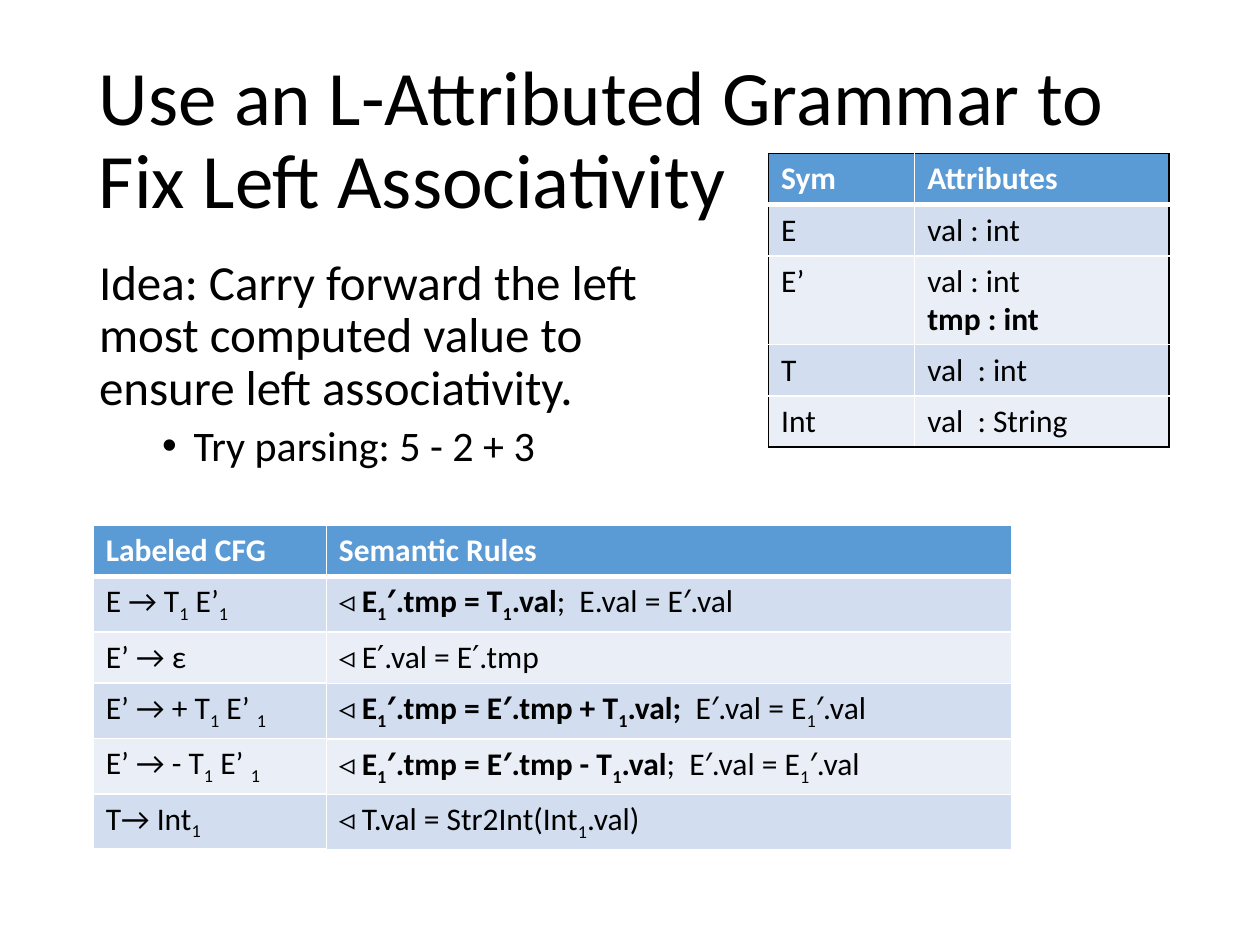
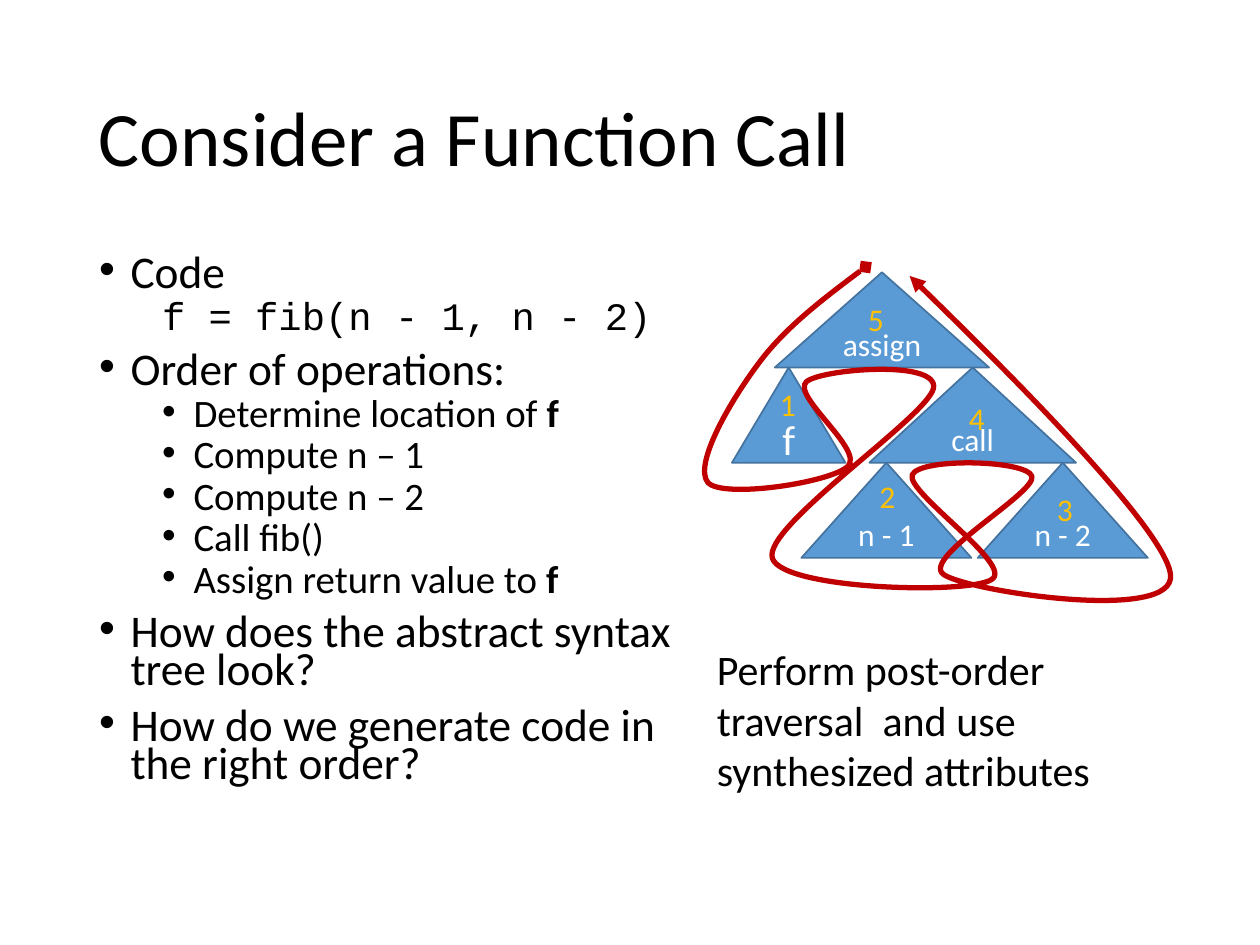
from lxml.etree import SubElement
from pptx import Presentation
from pptx.dml.color import RGBColor
from pptx.enum.shapes import MSO_SHAPE as Preset
from pptx.enum.text import MSO_ANCHOR as Anchor, MSO_AUTO_SIZE as AutoSize, PP_ALIGN as Align
from pptx.oxml.ns import qn
from pptx.util import Pt

BLACK = RGBColor(0x00, 0x00, 0x00)
WHITE = RGBColor(0xFF, 0xFF, 0xFF)
BLUE = RGBColor(0x5B, 0x9B, 0xD5)
BLUE_EDGE = RGBColor(0x43, 0x73, 0x9E)
BAND_DARK = RGBColor(0xD2, 0xDE, 0xEF)
BAND_LIGHT = RGBColor(0xEA, 0xEF, 0xF7)
GOLD = RGBColor(0xFF, 0xC0, 0x00)
RED = RGBColor(0xC0, 0x00, 0x00)

SANS, MONO = "Calibri", "Courier New"
ROW_HEIGHT = 29.2
BODY_LEFT, BODY_TOP, BODY_HEIGHT = 49.5, 143.75, 342.6
TREE_TOP, TREE_STEP = 155.6, 54.4

IDEA = {"size": 28, "space_before": 10, "line_spacing": 0.9}
TRY = {"size": 24, "space_before": 5, "line_spacing": 0.9, "level": 1,
       "margin": 54, "bullet": True}
TOPIC = {"size": 25.9, "space_before": 10, "line_spacing": 0.7,
         "margin": 18, "bullet": True}
STEP = {"size": 22.2, "space_before": 5, "line_spacing": 0.7, "level": 1,
        "margin": 54, "bullet": True}
CODE = {**STEP, "margin": 36, "bullet": False, "font": MONO}

SYMBOLS = [
    ("Sym", "Attributes"),
    ("E", "val : int"),
    ("E’", "val : int\n*tmp : int*"),
    ("T", "val  : int"),
    ("Int", "val  : String"),
]
GRAMMAR = ["Labeled CFG", "E → T_1 E’_1", "E’ → ε", "E’ → + T_1 E’ _1",
           "E’ → - T_1 E’ _1", "T→ Int_1"]
RULES = [
    "Semantic Rules",
    "◃ *E_1′.tmp = T_1.val*;  E.val = E′.val",
    "◃ E′.val = E′.tmp",
    "◃ *E_1′.tmp = E′.tmp + T_1.val;*  E′.val = E_1′.val",
    "◃ *E_1′.tmp = E′.tmp - T_1.val*;  E′.val = E_1′.val",
    "◃ T.val = Str2Int(Int_1.val)",
]
FUNCTION_CALL = [
    ("Code", TOPIC),
    ("f = fib(n - 1, n - 2)", CODE),
    ("Order of operations:", TOPIC),
    ("Determine location of *f*", STEP),
    ("Compute n – 1", STEP),
    ("Compute n – 2", STEP),
    ("Call fib()", STEP),
    ("Assign return value to *f*", STEP),
    ("How does the abstract syntax tree look?", TOPIC),
    ("How do we generate code in the right order?", TOPIC),
]
TREE = [
    ("assign", 0, 442.8, 122.4, 18),
    ("f", 1, 418.3, 64.8, 24),
    ("call", 1, 496.8, 118.1, 18),
    ("n - 1", 2, 457.9, 97.2, 18),
    ("n - 2", 2, 558.7, 97.2, 18),
]
VISIT_ORDER = [("1", 438.5, 216.7), ("2", 495.4, 269.3), ("4", 546.5, 224.6),
               ("3", 596.9, 276.5), ("5", 488.9, 167.8)]
TOUR_FRAME = (402.5, 152.6, 266.4, 190.8)
TOUR_START = (494.6, 152.6)
TOUR_CURVES = [
    ((471.6, 169.9), (447.8, 187.9), (432.7, 208.8)),
    ((417.6, 229), (396, 265.7), (404.6, 275.8)),
    ((413.3, 285.1), (475.2, 275.8), (484.6, 266.4)),
    ((493.9, 257), (452.2, 226.1), (460.8, 218.2)),
    ((468.7, 211), (536.4, 205.2), (533.5, 221.8)),
    ((529.9, 238.3), (435.6, 301), (441.4, 319)),
    ((447.1, 337), (553.7, 339.8), (566.6, 331.2)),
    ((580.3, 323.3), (517.7, 281.5), (521.3, 271.4)),
    ((525.6, 261.4), (586.8, 262.8), (589.7, 272.2)),
    ((592.6, 281.5), (525.6, 319), (539.3, 328.3)),
    ((552.2, 337.7), (672.5, 356.4), (668.9, 328.3)),
    ((666, 299.5), (519.8, 157.7), (519.8, 157.7)),
]


def points(values):
    return [Pt(value) for value in values]


def add_run(paragraph, text, size, color, bold, font=SANS, subscript=False):
    if not text:
        return
    run = paragraph.add_run()
    run.text = text
    for attribute, value in {"name": font, "size": Pt(size), "bold": bold}.items():
        setattr(run.font, attribute, value)
    run.font.color.rgb = color
    if subscript:
        run.font._element.set("baseline", "-25000")


def write(paragraph, marked, size, color=BLACK, bold=False, font=SANS):
    for index, span in enumerate(marked.split("*")):
        heavy = bold or index % 2 == 1
        plain, *indexed = span.split("_")
        add_run(paragraph, plain, size, color, heavy, font)
        for part in indexed:
            add_run(paragraph, part[0], size, color, heavy, font, subscript=True)
            add_run(paragraph, part[1:], size, color, heavy, font)


def indent(paragraph, margin, bullet):
    properties = paragraph._p.get_or_add_pPr()
    properties.set("marL", str(Pt(margin)))
    properties.set("indent", str(Pt(-18 if bullet else 0)))
    if bullet:
        SubElement(properties, qn("a:buFont")).set("typeface", "Arial")
        SubElement(properties, qn("a:buChar")).set("char", "•")


def add_text(slide, frame, entries, color=BLACK, **frame_format):
    text_frame = slide.shapes.add_textbox(*points(frame)).text_frame
    for attribute, value in {"word_wrap": True, **frame_format}.items():
        setattr(text_frame, attribute, value)
    for index, (text, style) in enumerate(entries):
        paragraph = text_frame.add_paragraph() if index else text_frame.paragraphs[0]
        for attribute in ("line_spacing", "level"):
            if attribute in style:
                setattr(paragraph, attribute, style[attribute])
        paragraph.space_before = Pt(style.get("space_before", 0))
        indent(paragraph, style.get("margin", 0), style.get("bullet", False))
        write(paragraph, text, style["size"], color, font=style.get("font", SANS))


def add_title(slide, title):
    add_text(slide, (49.5, 28.75, 621, 104.4), [(title, {"size": 44, "line_spacing": 0.9})],
             vertical_anchor=Anchor.MIDDLE)


def set_borders(cell, borders):
    properties = cell._tc.get_or_add_tcPr()
    for position, (side, (color, width)) in enumerate(borders.items()):
        line = SubElement(properties, qn(f"a:ln{side}"), w=str(Pt(width)))
        fill = SubElement(line, qn("a:solidFill"))
        SubElement(fill, qn("a:srgbClr"), val=str(color))
        properties.insert(position, line)


def add_grid(slide, left, top, widths, rows, outline=WHITE):
    heights = [ROW_HEIGHT + 21.6 * max(text.count("\n") for text in row) for row in rows]
    frame = points((left, top, sum(widths), sum(heights)))
    table = slide.shapes.add_table(len(rows), len(widths), *frame).table
    table.horz_banding = False
    for column, width in zip(table.columns, widths):
        column.width = Pt(width)
    last_row, last_column = len(rows) - 1, len(widths) - 1
    for r, texts in enumerate(rows):
        table.rows[r].height = Pt(heights[r])
        header = r == 0
        for c, text in enumerate(texts):
            cell = table.cell(r, c)
            cell.fill.solid()
            cell.fill.fore_color.rgb = BLUE if header else (BAND_LIGHT, BAND_DARK)[r % 2]
            set_borders(cell, {
                "L": (outline if c == 0 else WHITE, 1),
                "R": (outline if c == last_column else WHITE, 1),
                "T": (outline if header else WHITE, 3 if r == 1 else 1),
                "B": (outline if r == last_row else WHITE, 3 if header else 1),
            })
            for index, line in enumerate(text.split("\n")):
                body = cell.text_frame
                paragraph = body.add_paragraph() if index else body.paragraphs[0]
                write(paragraph, line, 18, WHITE if header else BLACK, header)


def add_tree_node(slide, label, level, left, width, size):
    frame = points((left, TREE_TOP + level * TREE_STEP, width, TREE_STEP))
    node = slide.shapes.add_shape(Preset.ISOSCELES_TRIANGLE, *frame)
    node.shadow.inherit = False
    node.fill.solid()
    node.fill.fore_color.rgb = BLUE
    node.line.color.rgb = BLUE_EDGE
    node.line.width = Pt(1)
    node.text_frame.vertical_anchor = Anchor.MIDDLE
    paragraph = node.text_frame.paragraphs[0]
    paragraph.alignment = Align.CENTER
    write(paragraph, label, size, WHITE)


def add_tour(slide):
    left, top, width, height = TOUR_FRAME
    builder = slide.shapes.build_freeform(Pt(left), Pt(top))
    builder.add_line_segments([points((left + width, top + height))], close=False)
    tour = builder.convert_to_shape()
    tour.shadow.inherit = False
    tour.fill.background()
    tour.line.color.rgb = RED
    tour.line.width = Pt(3)
    outline = tour.element.spPr.find(qn("a:ln"))
    for end, kind in {"head": "diamond", "tail": "triangle"}.items():
        SubElement(outline, qn(f"a:{end}End"), type=kind)
    route = next(tour.element.iter(qn("a:path")))
    for segment in list(route):
        route.remove(segment)
    commands = [("moveTo", [TOUR_START])] + [("cubicBezTo", curve) for curve in TOUR_CURVES]
    for command, stops in commands:
        segment = SubElement(route, qn(f"a:{command}"))
        for x, y in stops:
            SubElement(segment, qn("a:pt"), x=str(Pt(x - left)), y=str(Pt(y - top)))


def build_grammar_slide(slide):
    add_grid(slide, 53.3, 300.3, [136.8], [(text,) for text in GRAMMAR])
    add_title(slide, "Use an L-Attributed Grammar to Fix Left Associativity")
    add_text(slide, (BODY_LEFT, BODY_TOP, 324.7, BODY_HEIGHT), [
        ("Idea: Carry forward the left most computed value to ensure left associativity.", IDEA),
        ("Try parsing: 5 - 2 + 3", TRY),
    ])
    add_grid(slide, 186.5, 300.3, [391.7], [(text,) for text in RULES])
    add_grid(slide, 439.2, 87.8, [83.5, 145.4], SYMBOLS, outline=BLACK)


def build_call_slide(slide):
    add_title(slide, "Consider a Function Call")
    add_text(slide, (BODY_LEFT, BODY_TOP, 363.6, BODY_HEIGHT), FUNCTION_CALL)
    for node in TREE:
        add_tree_node(slide, *node)
    add_tour(slide)
    for number, left, top in VISIT_ORDER:
        add_text(slide, (left, top, 23.6, 29.1), [(number, {"size": 18})], GOLD,
                 word_wrap=False, auto_size=AutoSize.SHAPE_TO_FIT_TEXT)
    add_text(slide, (402.5, 364.3, 234, 94.3),
             [("Perform post-order traversal  and use synthesized attributes", {"size": 24})],
             auto_size=AutoSize.SHAPE_TO_FIT_TEXT)


def main():
    deck = Presentation()
    deck.slide_width, deck.slide_height = Pt(720), Pt(540)
    for build in (build_grammar_slide, build_call_slide):
        build(deck.slides.add_slide(deck.slide_layouts[6]))
    deck.save("out.pptx")


if __name__ == "__main__":
    main()
